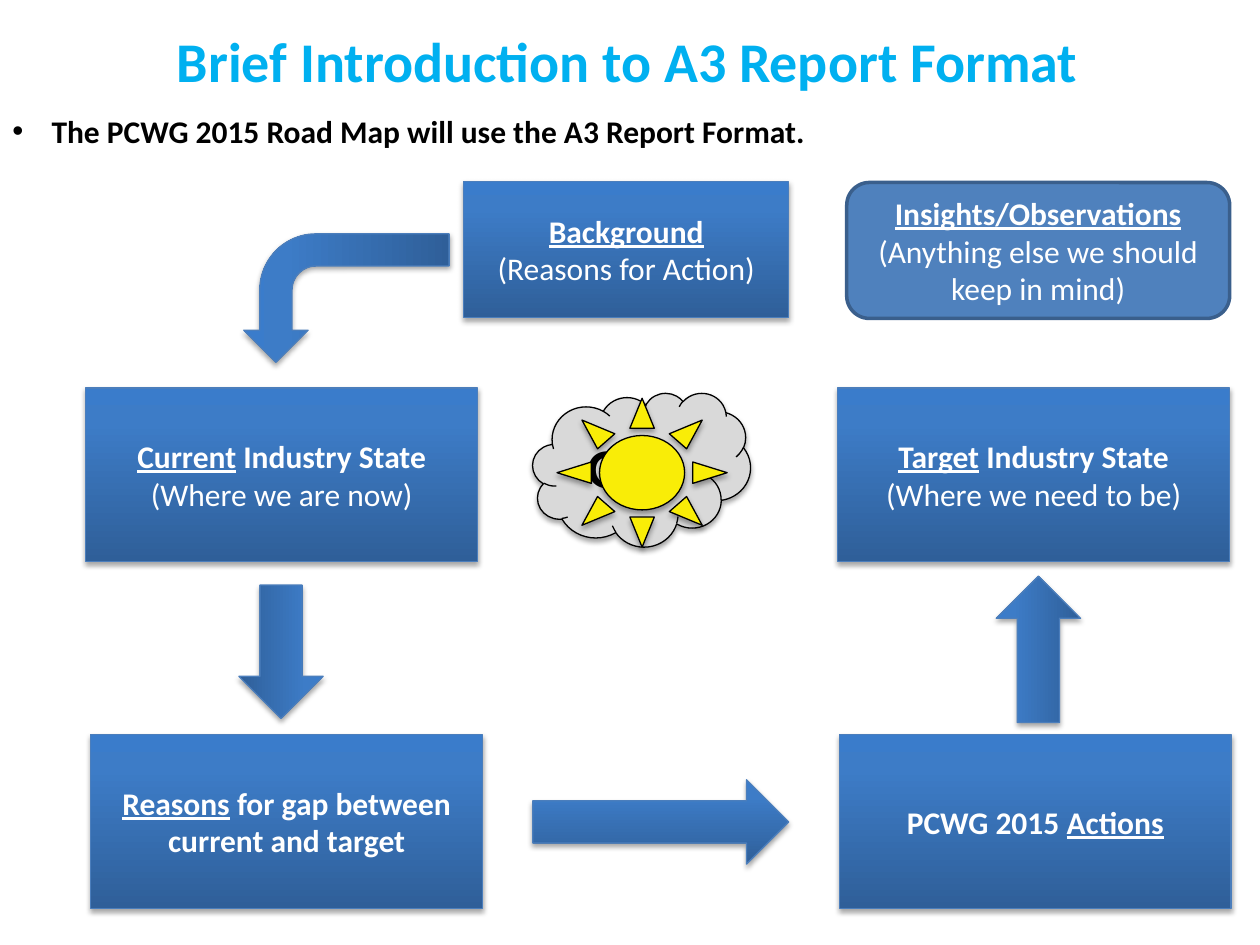
from lxml import etree
from pptx import Presentation
from pptx.dml.color import RGBColor
from pptx.enum.shapes import MSO_SHAPE
from pptx.enum.text import MSO_ANCHOR, PP_ALIGN
from pptx.oxml.ns import qn
from pptx.util import Cm, Pt

RECT, ROUND = MSO_SHAPE.RECTANGLE, MSO_SHAPE.ROUNDED_RECTANGLE
ARROW, BENT = MSO_SHAPE.RIGHT_ARROW, MSO_SHAPE.BENT_ARROW
CLOUD, SUN = MSO_SHAPE.CLOUD, MSO_SHAPE.SUN
MIDDLE, CENTER, LEFT = MSO_ANCHOR.MIDDLE, PP_ALIGN.CENTER, PP_ALIGN.LEFT

WHITE = RGBColor(0xFF, 0xFF, 0xFF)
BLACK = RGBColor(0, 0, 0)
CYAN = RGBColor(0x00, 0xB0, 0xF0)
EDGE = RGBColor(0x4B, 0x7E, 0xBC)
GRAY = RGBColor(0xD9, 0xD9, 0xD9)
YELLOW = RGBColor(0xF9, 0xED, 0x07)
BLUE = RGBColor(0x4F, 0x81, 0xBD)
NAVY = RGBColor(0x3A, 0x5F, 0x8C)
# Gradient stops in percent, from bottom to top
STOPS = [(0, RGBColor(0x2F, 0x5F, 0x99)),
         (80, RGBColor(0x3D, 0x7C, 0xC7)),
         (100, RGBColor(0x3A, 0x7C, 0xCB))]

FONT = "Calibri"
BOX_W, BOX_H = 7.9, 3.5
THICK = 1.7


def add_node(parent, tag, **attrs):
    node = etree.SubElement(parent, qn(tag))
    for name, value in attrs.items():
        node.set(name, str(value))
    return node


def add_shade(shape):
    """Give the shape a soft shadow below it."""
    effects = shape._element.spPr.find(qn("a:effectLst"))
    shadow = add_node(effects, "a:outerShdw", blurRad=Pt(3.1), dist=Pt(1.8),
                      dir=5400000, rotWithShape=0)
    color = add_node(shadow, "a:srgbClr", val=BLACK)
    add_node(color, "a:alpha", val=35000)


def fill_blend(shape):
    """Fill the shape with the three-stop blue gradient."""
    shape.fill.gradient()
    shape.fill.gradient_angle = 90
    stops = shape._element.spPr.find(".//" + qn("a:gsLst"))
    for old in list(stops):
        stops.remove(old)
    for place, color in STOPS:
        stop = add_node(stops, "a:gs", pos=place * 1000)
        add_node(stop, "a:srgbClr", val=color)


def write(frame, lines, size=18, color=WHITE, align=CENTER):
    """Write lines, the first one bold; words between _ are underlined."""
    frame.word_wrap = True
    for i, line in enumerate(lines):
        para = frame.paragraphs[0] if i == 0 else frame.add_paragraph()
        para.alignment = align
        font = para.font
        font.name, font.size, font.bold = FONT, Pt(size), i == 0
        font.color.rgb = color
        for j, part in enumerate(line.split("_")):
            if part:
                run = para.add_run()
                run.text = part
                if j % 2:
                    run.font.underline = True


def add_shape(slide, kind, left, top, width, height,
              fill=None, line=EDGE, weight=0.75, shade=True):
    shape = slide.shapes.add_shape(kind, Cm(left), Cm(top), Cm(width), Cm(height))
    if fill is None:
        fill_blend(shape)
    else:
        shape.fill.solid()
        shape.fill.fore_color.rgb = fill
    shape.line.color.rgb = line
    shape.line.width = Pt(weight)
    shape.shadow.inherit = False
    if shade:
        add_shade(shape)
    shape.text_frame.vertical_anchor = MIDDLE
    return shape


def add_box(slide, left, top, lines, width=BOX_W, height=BOX_H):
    box = add_shape(slide, RECT, left, top, width, height)
    write(box.text_frame, lines)


def add_arrow(slide, left, top, length, turn=0):
    arrow = add_shape(slide, ARROW, left, top, length, THICK)
    arrow.rotation = turn


def add_bend(slide):
    bend = add_shape(slide, BENT, 5.69, 3.94, 2.59, 4.14)
    bend.rotation = 270
    bend._element.spPr.find(qn("a:xfrm")).set("flipH", "1")


def add_text(slide, left, top, width, height, line, size, color, align):
    box = slide.shapes.add_textbox(Cm(left), Cm(top), Cm(width), Cm(height))
    write(box.text_frame, [line], size, color, align)
    return box.text_frame


def add_title(slide):
    frame = add_text(slide, 0.41, 0.28, 24.49, 1.85,
                     "Brief Introduction to A3 Report Format", 32, CYAN, CENTER)
    frame.vertical_anchor = MIDDLE
    frame.margin_left = frame.margin_right = Cm(0.36)
    frame.margin_top = frame.margin_bottom = Cm(0.18)


def add_bullet(slide):
    frame = add_text(slide, 0, 2.13, 24.89, 1.02,
                     "The PCWG 2015 Road Map will use the A3 Report Format.",
                     18, BLACK, LEFT)
    props = frame.paragraphs[0]._p.get_or_add_pPr()
    props.set("marL", str(Cm(0.79)))
    props.set("indent", str(-Cm(0.79)))
    font = etree.Element(qn("a:buFont"), typeface="Arial")
    mark = etree.Element(qn("a:buChar"), char="•")
    props.insert(0, font)
    props.insert(1, mark)


def main():
    deck = Presentation()
    deck.slide_width, deck.slide_height = Cm(25.4), Cm(19.05)
    slide = deck.slides.add_slide(deck.slide_layouts[6])

    # Steps of the report
    add_box(slide, 9.35, 3.66, ["_Background_", "(Reasons for Action)"], 6.55, 2.74)
    add_box(slide, 1.73, 7.82, ["_Current_ Industry State", "(Where we are now)"])
    add_box(slide, 1.83, 14.81, ["_Reasons_ for gap between current and target"])
    add_box(slide, 16.92, 14.81, ["PCWG 2015 _Actions_"])
    add_box(slide, 16.89, 7.82, ["_Target_ Industry State", "(Where we need to be)"])

    # Arrows from step to step
    add_bend(slide)
    add_arrow(slide, 4.32, 12.29, 2.69, 90)
    add_arrow(slide, 10.74, 15.72, 5.16)
    add_arrow(slide, 19.46, 12.24, 2.95, 270)

    # Gap cloud with the sun in front
    cloud = add_shape(slide, CLOUD, 10.74, 7.92, 4.39, 3.1, GRAY, BLACK)
    write(cloud.text_frame, ["Gap"], 32, BLACK)
    add_shape(slide, SUN, 11.23, 8.03, 3.43, 3, YELLOW, BLACK)

    # Title, side note and lead line
    add_title(slide)
    note = add_shape(slide, ROUND, 17.07, 3.68, 7.72, 2.74, BLUE, NAVY, 2, False)
    write(note.text_frame, ["_Insights/Observations_",
                            "(Anything else we should keep in mind)"])
    add_bullet(slide)

    deck.save("out.pptx")


if __name__ == "__main__":
    main()
